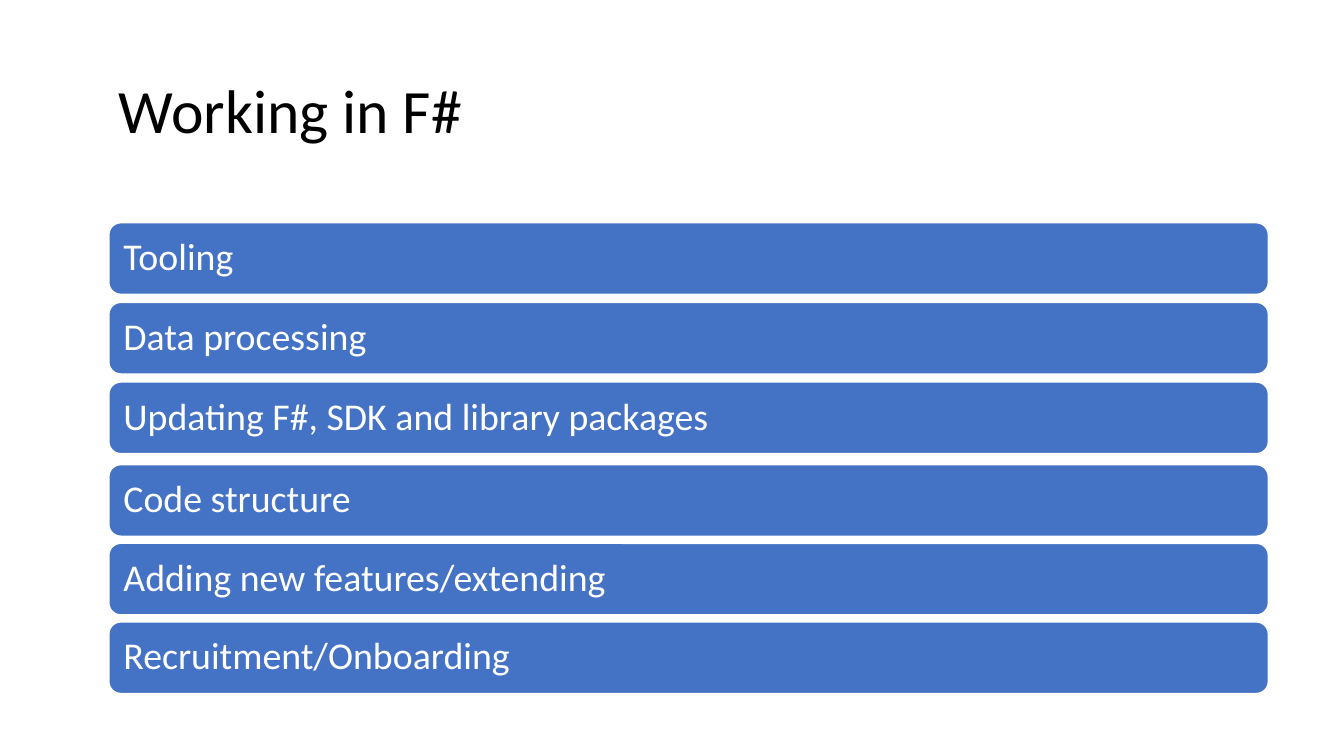
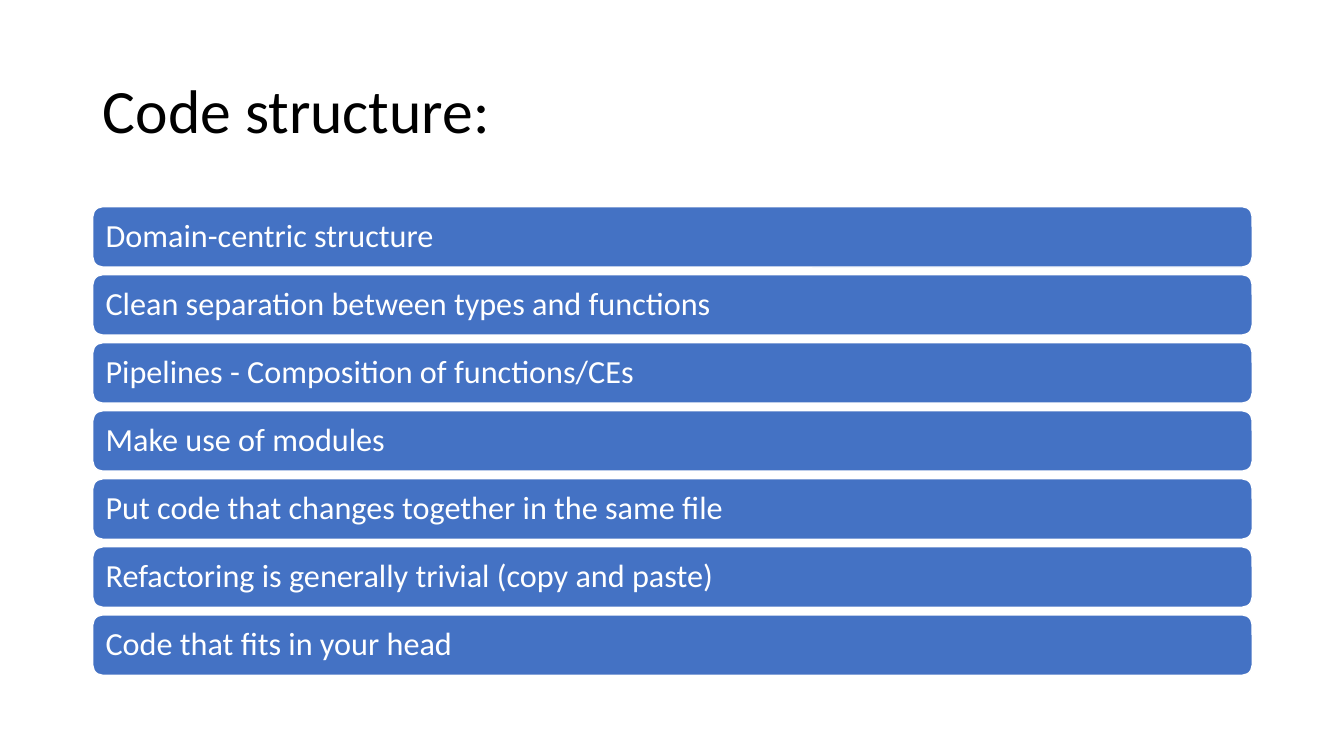
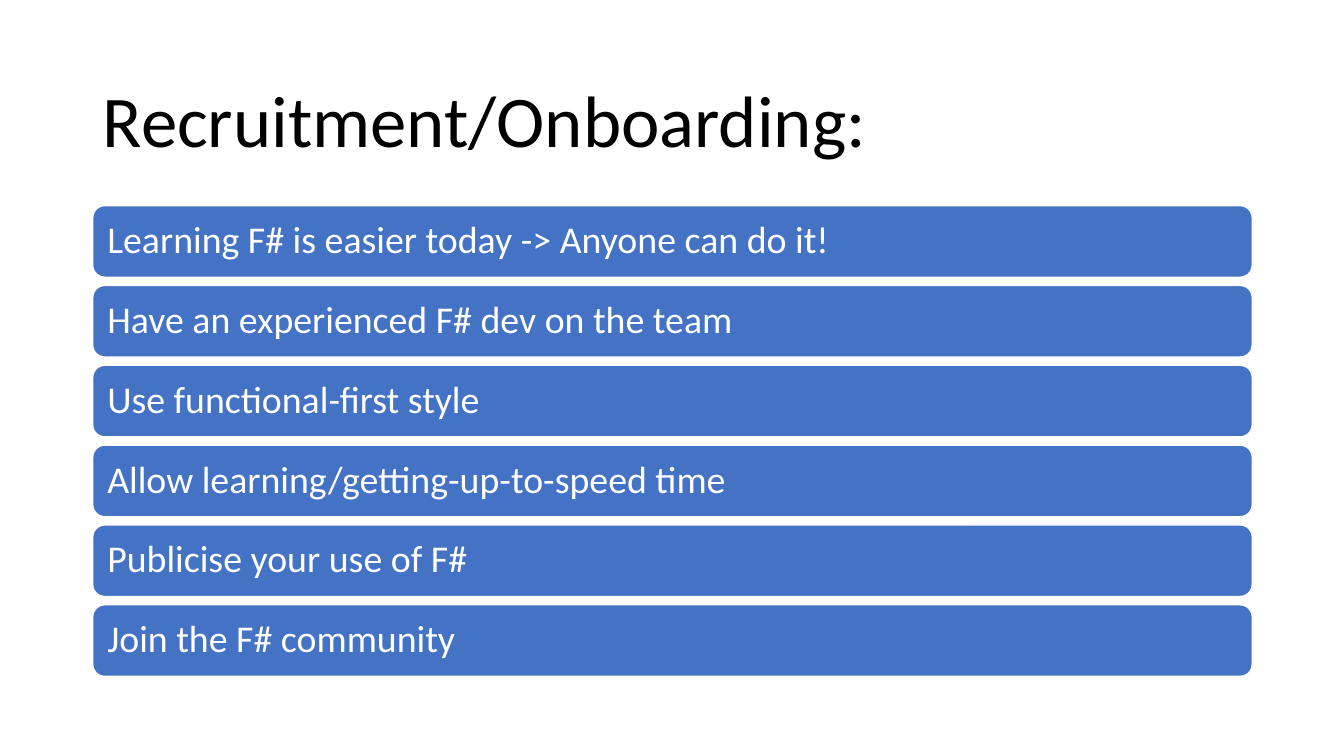
from pptx import Presentation
from pptx.dml.color import RGBColor
from pptx.enum.shapes import MSO_SHAPE
from pptx.enum.text import MSO_ANCHOR, MSO_AUTO_SIZE, PP_ALIGN
from pptx.util import Inches, Pt

ROUNDED = MSO_SHAPE.ROUNDED_RECTANGLE
LEFT = PP_ALIGN.LEFT
MIDDLE = MSO_ANCHOR.MIDDLE
NO_AUTOFIT = MSO_AUTO_SIZE.NONE

# Shared style, lengths in inches
COLORS = {"title": "000000", "bar": "4472C4", "white": "FFFFFF"}
FONT = "Calibri"
TITLE_BOTTOM = 1.85
BAR_WIDTH = 11.5

# Each stack: top of its first bar, top of its last bar, labels
PAGES = [
    {
        "title": "Working in F#", "title_size": 44, "title_top": 0.4,
        "title_width": 11.33, "left": 1.08,
        "bar_height": 0.71, "bar_size": 27, "inset": 0.11,
        "stacks": [
            (2.21, 3.79, ["Tooling", "Data processing",
                          "Updating F#, SDK and library packages"]),
            (4.61, 6.17, ["Code structure", "Adding new features/extending",
                          "Recruitment/Onboarding"]),
        ],
    },
    {
        "title": "Code structure:", "title_size": 44, "title_top": 0.4,
        "title_width": BAR_WIDTH, "left": 0.92,
        "bar_height": 0.6, "bar_size": 23, "inset": 0.1,
        "stacks": [
            (2.05, 6.1, ["Domain-centric structure",
                         "Clean separation between types and functions",
                         "Pipelines - Composition of functions/CEs",
                         "Make use of modules",
                         "Put code that changes together in the same file",
                         "Refactoring is generally trivial (copy and paste)",
                         "Code that fits in your head"]),
        ],
    },
    {
        "title": "Recruitment/Onboarding:", "title_size": 52, "title_top": 0.61,
        "title_width": BAR_WIDTH, "left": 0.92,
        "bar_height": 0.71, "bar_size": 27, "inset": 0.11,
        "stacks": [
            (2.04, 6, ["Learning F# is easier today -> Anyone can do it!",
                       "Have an experienced F# dev on the team",
                       "Use functional-first style",
                       "Allow learning/getting-up-to-speed time",
                       "Publicise your use of F#",
                       "Join the F# community"]),
        ],
    },
]


def place(shape, left, top, width, height):
    shape.left, shape.top = Inches(left), Inches(top)
    shape.width, shape.height = Inches(width), Inches(height)


def write(shape, text, size, color):
    frame = shape.text_frame
    frame.text = text
    frame.word_wrap = True
    frame.auto_size = NO_AUTOFIT
    frame.vertical_anchor = MIDDLE
    para = frame.paragraphs[0]
    para.alignment = LEFT
    para.line_spacing = 0.9
    para.font.name = FONT
    para.font.size = Pt(size)
    para.font.color.rgb = RGBColor.from_string(COLORS[color])


deck = Presentation()
deck.slide_width, deck.slide_height = Inches(13.33), Inches(7.5)
title_only = deck.slide_layouts[5]

for content in PAGES:
    page = deck.slides.add_slide(title_only)

    # Title
    title = page.shapes.title
    place(title, content["left"], content["title_top"],
          content["title_width"], TITLE_BOTTOM - content["title_top"])
    write(title, content["title"], content["title_size"], "title")

    # Evenly spaced bars
    for first, last, labels in content["stacks"]:
        pitch = (last - first) / (len(labels) - 1)
        for row, label in enumerate(labels):
            bar = page.shapes.add_shape(ROUNDED, 0, 0, 0, 0)
            place(bar, content["left"], first + row * pitch,
                  BAR_WIDTH, content["bar_height"])
            bar.shadow.inherit = False
            bar.fill.solid()
            bar.fill.fore_color.rgb = RGBColor.from_string(COLORS["bar"])
            bar.line.color.rgb = RGBColor.from_string(COLORS["white"])
            bar.line.width = Pt(1)
            write(bar, label, content["bar_size"], "white")
            frame = bar.text_frame
            frame.margin_left = frame.margin_right = Inches(content["inset"])
            frame.margin_top = frame.margin_bottom = 0

deck.save("out.pptx")
